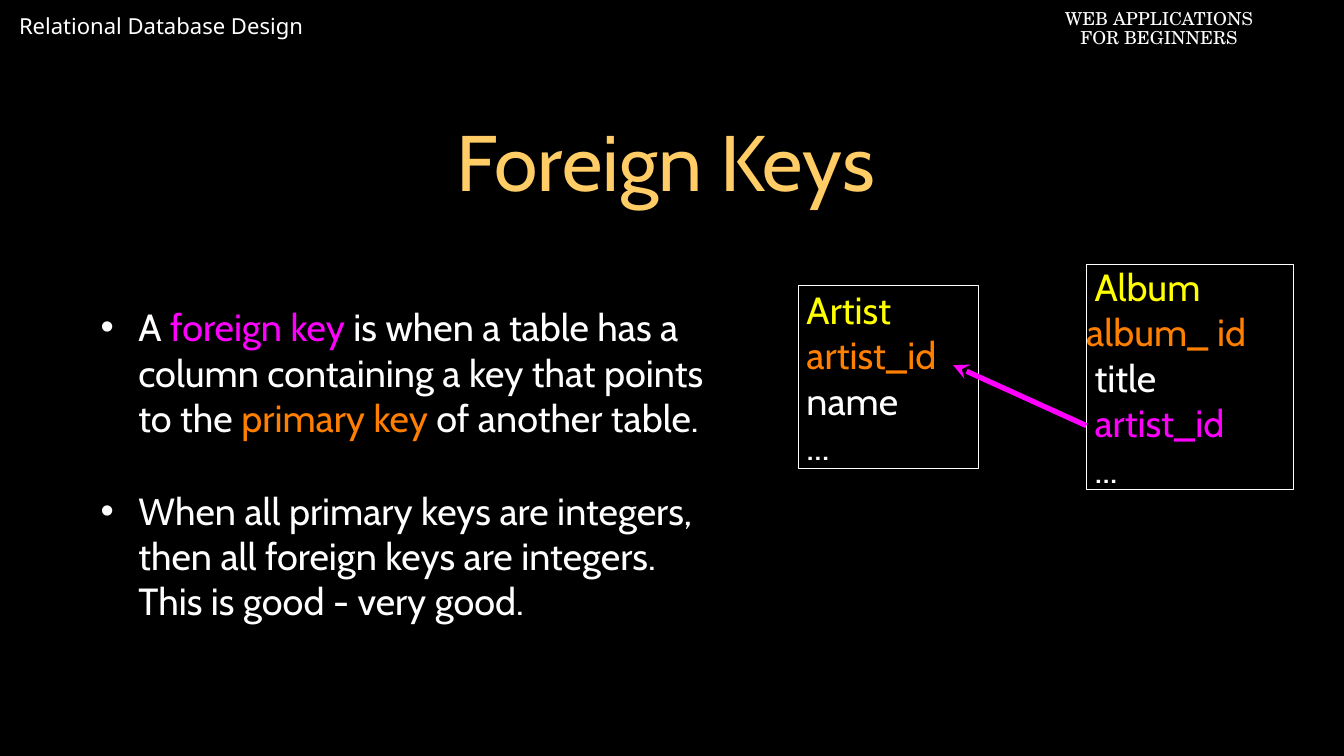
import pptx
import pptx.util
import pptx.dml.color
import pptx.enum.shapes
import pptx.enum.text
import pptx.oxml.ns
import lxml.etree

Cm = pptx.util.Cm
ALIGN = pptx.enum.text.PP_ALIGN
ANCHOR = pptx.enum.text.MSO_ANCHOR

COLORS = {
    "background": "000000",
    "text": "FFFFFF",
    "title": "FFCC66",
    "table": "FFFF00",
    "primary": "FF7F00",
    "foreign": "FF00FF",
}
ROW_INDENT = 0.28


def rgb(name):
    return pptx.dml.color.RGBColor.from_string(COLORS[name])


def add_xml(parent, tag, **attributes):
    element = lxml.etree.SubElement(parent, pptx.oxml.ns.qn(tag))
    for name, value in attributes.items():
        element.set(name, value)
    return element


def place(shape, box):
    shape.left, shape.top, shape.width, shape.height = (Cm(length) for length in box)


def prepare_frame(frame, insets, anchor=ANCHOR.MIDDLE):
    """Set wrapping, anchor and (horizontal, vertical) insets in cm."""
    frame.word_wrap = True
    frame.auto_size = pptx.enum.text.MSO_AUTO_SIZE.NONE
    frame.vertical_anchor = anchor
    frame.margin_left = frame.margin_right = Cm(insets[0])
    frame.margin_top = frame.margin_bottom = Cm(insets[1])


def write(frame, spans, *, size, font="Cabin", align=ALIGN.LEFT, indent=0, bullet=False,
          before=0, after=0, spacing=1.0):
    """Add a paragraph of (text, colour) spans, reusing an empty first one."""
    para = frame.paragraphs[0]
    if para.runs:
        para = frame.add_paragraph()
    properties = para._p.get_or_add_pPr()
    properties.set("marL", str(Cm(indent)))
    properties.set("indent", str(-Cm(indent) if bullet else 0))
    if bullet:
        add_xml(add_xml(properties, "a:buClr"), "a:srgbClr", val=COLORS["text"])
        add_xml(properties, "a:buChar", char="•")
    else:
        add_xml(properties, "a:buNone")
    para.alignment = align
    para.line_spacing = spacing
    para.space_before = pptx.util.Pt(before)
    para.space_after = pptx.util.Pt(after)
    for text, color in spans:
        span = para.add_run()
        span.text = text
        span.font.name = font
        span.font.size = pptx.util.Pt(size)
        span.font.color.rgb = rgb(color)


def add_header(page, box, lines, insets, **style):
    header = page.shapes.add_textbox(*(Cm(length) for length in box))
    prepare_frame(header.text_frame, insets, ANCHOR.TOP)
    for line in lines:
        write(header.text_frame, [(line, "text")], **style)


def fill_title(page, box, text):
    title = page.shapes.title
    place(title, box)
    prepare_frame(title.text_frame, (0.18, 0.18))
    write(title.text_frame, [(text, "title")], size=75, align=ALIGN.CENTER)


def fill_body(page, box, items):
    body = page.placeholders[1]
    place(body, box)
    prepare_frame(body.text_frame, (0.18, 0.18))
    for number, spans in enumerate(items):
        write(body.text_frame, spans, size=36, indent=1.27, bullet=True,
              before=35 if number else 0, after=10)


def add_entity(page, box, rows):
    """Draw a database table as a box of (text, colour, indent) rows."""
    entity = page.shapes.add_shape(pptx.enum.shapes.MSO_SHAPE.RECTANGLE,
                                   *(Cm(length) for length in box))
    entity.shadow.inherit = False
    entity.fill.background()
    entity.line.color.rgb = rgb("text")
    entity.line.width = pptx.util.Pt(1)
    prepare_frame(entity.text_frame, (0, 0))
    for text, color, indent in rows:
        write(entity.text_frame, [(text, color)], size=36, indent=indent)


def add_key_arrow(page, start, end):
    arrow = page.shapes.add_connector(pptx.enum.shapes.MSO_CONNECTOR.STRAIGHT,
                                      *(Cm(length) for length in start + end))
    arrow.line.color.rgb = rgb("foreign")
    arrow.line.width = pptx.util.Pt(5)
    add_xml(arrow.line._get_or_add_ln(), "a:tailEnd", type="stealth")
    add_xml(arrow._element.spPr, "a:effectLst")


def add_schema(page, box):
    """Draw the Artist and Album tables and the key that joins them."""
    left, top, width, height = box
    album_left = left + width - 6.96
    add_entity(page, (left, top + 0.71, 6.05, 6.15), [
        ("Artist", "table", ROW_INDENT),
        ("artist_id", "primary", ROW_INDENT),
        ("name", "text", ROW_INDENT),
        ("...", "text", ROW_INDENT),
    ])
    add_entity(page, (album_left, top, 6.96, height), [
        ("Album", "table", ROW_INDENT),
        ("album_ id", "primary", 0),
        ("title", "text", ROW_INDENT),
        ("artist_id", "foreign", ROW_INDENT),
        ("...", "text", ROW_INDENT),
    ])
    add_key_arrow(page, (album_left, top + 5.41), (left + 5.21, top + 3.38))


def main():
    deck = pptx.Presentation()
    deck.slide_width, deck.slide_height = Cm(45.16), Cm(25.4)
    page = deck.slides.add_slide(deck.slide_layouts[1])
    page.background.fill.solid()
    page.background.fill.fore_color.rgb = rgb("background")

    add_header(page, (0.18, 0.18, 13.51, 2.51), ["Relational Database Design"],
               (0.46, 0.23), size=21, font="Noto Sans")
    add_header(page, (33.81, 0.2, 10.26, 1.57), ["WEB APPLICATIONS", "FOR BEGINNERS"],
               (0.25, 0.13), size=17, font="TeX Gyre Schola", align=ALIGN.CENTER, spacing=0.9)
    fill_title(page, (3.02, 2.16, 38.71, 6.4), "Foreign Keys")
    fill_body(page, (3.2, 6.81, 21.21, 17.53), [
        [("A", "text"), (" foreign key", "foreign"),
         (" is when a table has a column containing a key that points to the ", "text"),
         ("primary key", "primary"), (" of another table.", "text")],
        [("When all primary keys are integers, then all foreign keys are integers. "
          "This is good - very good.", "text")],
    ])
    add_schema(page, (26.82, 8.89, 16.64, 7.57))
    deck.save("out.pptx")


if __name__ == "__main__":
    main()
